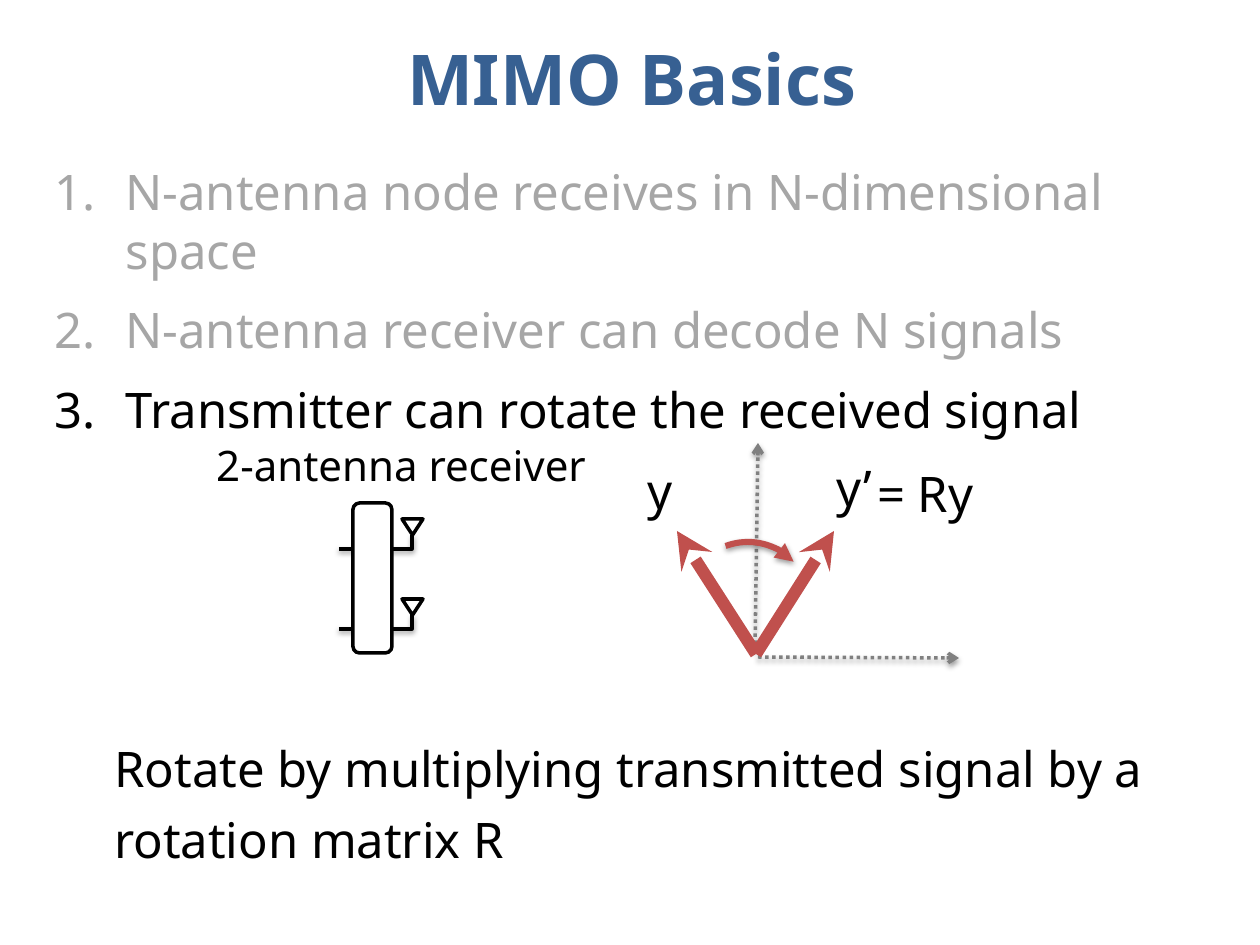
from lxml import etree
from pptx import Presentation
from pptx.dml.color import RGBColor
from pptx.enum.dml import MSO_LINE
from pptx.enum.shapes import MSO_CONNECTOR, MSO_SHAPE
from pptx.enum.text import MSO_ANCHOR, MSO_AUTO_SIZE, PP_ALIGN
from pptx.oxml.ns import qn
from pptx.util import Emu, Pt

EMU_PER_PX = 914400 / 126
BLACK, WHITE, GREY, RED = "000000", "FFFFFF", "808080", "C0504D"
BLUE, FADED = "376092", "A6A6A6"


def px(value):
    return Emu(round(value * EMU_PER_PX))


def color(hex_string):
    return RGBColor.from_string(hex_string)


def add_xml(parent, tag, **attributes):
    return etree.SubElement(parent, qn(tag), attributes)


class SlideBuilder:
    font = "Noto Sans"

    def __init__(self, slide):
        self.slide = slide
        self.shapes = slide.shapes

    def place(self, shape, box):
        shape.left, shape.top, shape.width, shape.height = map(px, box)

    def add_run(self, paragraph, text, size, hex_color=BLACK, bold=False, align=None, before=None):
        run = paragraph.add_run()
        run.text = text
        run.font.name, run.font.size, run.font.bold = self.font, Pt(size), bold
        run.font.color.rgb = color(hex_color)
        paragraph.alignment = align
        if before is not None:
            paragraph.space_before = Pt(before)

    def title(self, text, box):
        shape = self.shapes.title
        self.place(shape, box)
        shape.text_frame.vertical_anchor = MSO_ANCHOR.MIDDLE
        self.add_run(shape.text_frame.paragraphs[0], text, 40, BLUE, True, PP_ALIGN.CENTER)

    def numbered_list(self, items, box, indent):
        body = self.slide.placeholders[1]
        self.place(body, box)
        frame = body.text_frame
        for index, (text, hex_color) in enumerate(items):
            paragraph = frame.add_paragraph() if index else frame.paragraphs[0]
            self.add_run(paragraph, text, 28, hex_color, before=12)
            properties = paragraph._p.get_or_add_pPr()
            properties.set("marL", str(px(indent)))
            properties.set("indent", str(-px(indent)))
            add_xml(properties, "a:buFont", typeface="+mj-lt")
            add_xml(properties, "a:buAutoNum", type="arabicPeriod")

    def text(self, text, box, size=28, align=None, wrap=True, spacing=None, before=None):
        shape = self.shapes.add_textbox(*map(px, box))
        frame = shape.text_frame
        frame.word_wrap = wrap
        if not wrap:
            frame.auto_size = MSO_AUTO_SIZE.SHAPE_TO_FIT_TEXT
        paragraph = frame.paragraphs[0]
        self.add_run(paragraph, text, size, align=align, before=before)
        if spacing:
            paragraph.line_spacing = spacing

    def stroke(self, shape, hex_color, width, shadow=False, dash=None, head=None, tail=None):
        shape.line.color.rgb = color(hex_color)
        shape.line.width = Pt(width)
        if dash:
            shape.line.dash_style = dash
        line = shape._element.spPr.find(qn("a:ln"))
        for tag, kind in (("a:headEnd", head), ("a:tailEnd", tail)):
            if kind:
                add_xml(line, tag, type=kind)
        effects = add_xml(shape._element.spPr, "a:effectLst")
        if shadow:
            outer = add_xml(effects, "a:outerShdw", blurRad=str(Pt(3.1)), dist=str(Pt(1.6)),
                            dir="5400000", rotWithShape="0")
            add_xml(add_xml(outer, "a:srgbClr", val=BLACK), "a:alpha", val="38000")

    def shape(self, preset, box, rotation=0):
        shape = self.shapes.add_shape(preset, *map(px, box))
        shape.rotation = rotation
        shape.fill.solid()
        shape.fill.fore_color.rgb = color(WHITE)
        self.stroke(shape, BLACK, 2)

    def arc(self, box, rotation, adjustments, **style):
        arc = self.shapes.add_shape(MSO_SHAPE.ARC, *map(px, box))
        arc.rotation = rotation
        for index, value in enumerate(adjustments):
            arc.adjustments[index] = value
        arc.fill.background()
        self.stroke(arc, **style)

    def line(self, start, end, hex_color, width, bent=False, **style):
        kind = MSO_CONNECTOR.ELBOW if bent else MSO_CONNECTOR.STRAIGHT
        connector = self.shapes.add_connector(kind, *map(px, start + end))
        if bent:
            connector._element.spPr.find(qn("a:prstGeom")).set("prst", "bentConnector2")
        self.stroke(connector, hex_color, width, **style)


prs = Presentation()
prs.slide_width, prs.slide_height = px(1260), px(945)
page = SlideBuilder(prs.slides.add_slide(prs.slide_layouts[1]))

# Title and numbered points
page.title("MIMO Basics", (3, 0, 1257, 155))
page.numbered_list([
    ("N-antenna node receives in N-dimensional space", FADED),
    ("N-antenna receiver can decode N signals", FADED),
    ("Transmitter can rotate the received signal", BLACK),
], (42, 155, 1197, 593), 71)

# Receiver with two antennas
for antenna_top in (519, 599):
    page.shape(MSO_SHAPE.ISOSCELES_TRIANGLE, (402, antenna_top, 21, 16), 180)
    page.line((339, antenna_top + 30), (412, antenna_top + 16), BLACK, 2, bent=True, shadow=True)
page.shape(MSO_SHAPE.ROUNDED_RECTANGLE, (353, 503, 39, 150))
page.text("2-antenna receiver", (190, 433, 422, 105), 24, PP_ALIGN.CENTER)

# Axes of the signal space
for start, end in (((755, 651), (758, 443)), ((758, 657), (959, 658))):
    page.line(start, end, GREY, 2, dash=MSO_LINE.ROUND_DOT, tail="arrow", shadow=True)

# Signal vectors y and y'
for tip_x in (677, 834):
    page.line((tip_x, 531), (756, 654), RED, 7, head="stealth")
page.text("y", (597, 454, 126, 105), 28.1, PP_ALIGN.CENTER)
page.text("y’", (736, 451, 236, 105), 28.1, PP_ALIGN.CENTER)
page.text(" = Ry", (852, 457, 135, 72), wrap=False)

# Rotation from y to y'
page.arc((685, 542, 126, 126), 322.1, (172.3, 212.71),
         hex_color=RED, width=3.5, tail="triangle", shadow=True)

# Conclusion
page.text("Rotate by multiplying transmitted signal by a rotation matrix R",
          (102, 721, 1138, 197), spacing=1.2, before=18)

prs.save("out.pptx")
